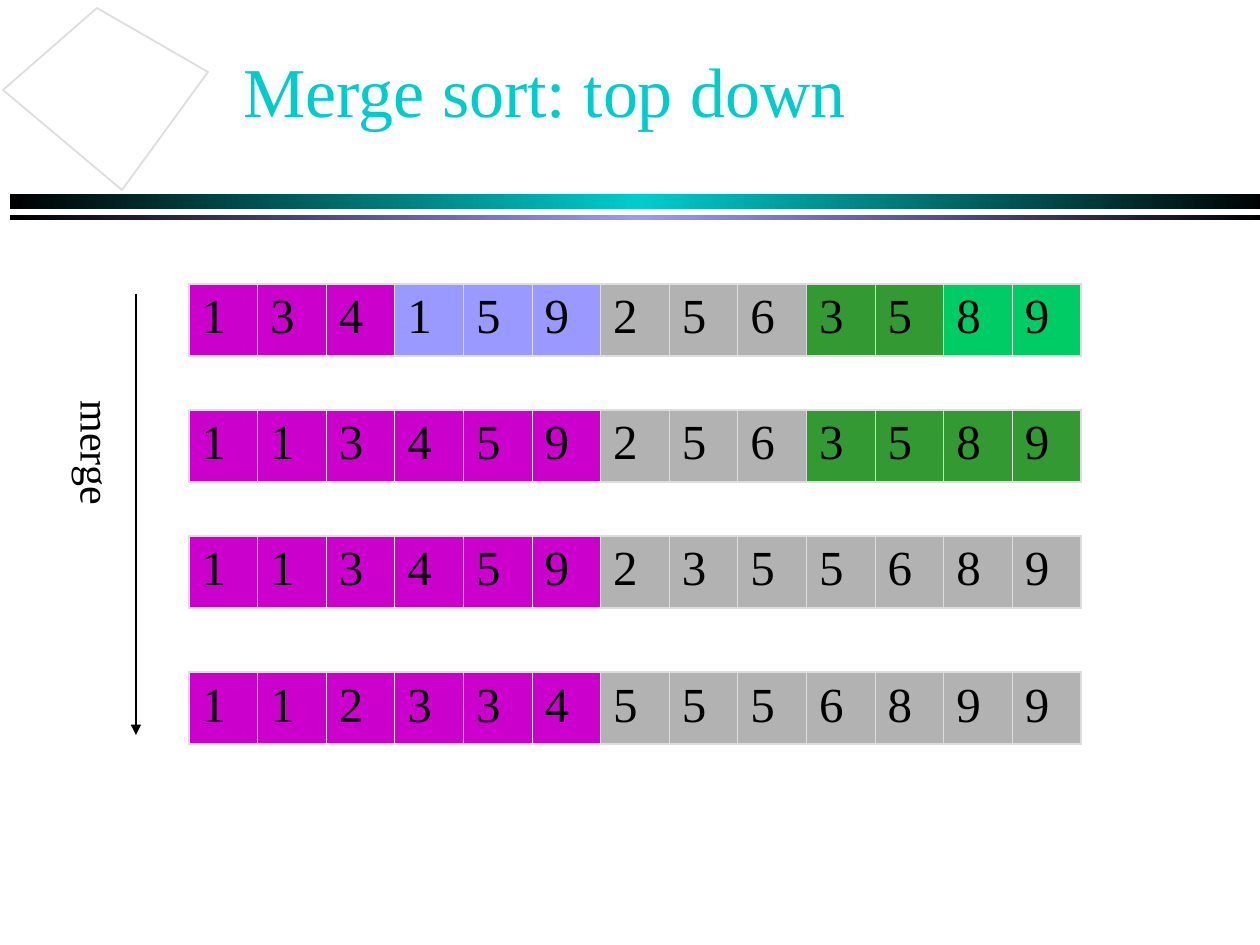
"""Build a slide showing the merge phase of a top-down merge sort."""
from lxml import etree
from pptx import Presentation
from pptx.dml.color import RGBColor
from pptx.enum.shapes import MSO_CONNECTOR, MSO_SHAPE
from pptx.enum.text import MSO_ANCHOR
from pptx.oxml import parse_xml
from pptx.oxml.ns import qn
from pptx.util import Pt

STRAIGHT = MSO_CONNECTOR.STRAIGHT
RECTANGLE = MSO_SHAPE.RECTANGLE
MIDDLE = MSO_ANCHOR.MIDDLE
SCALE = 914400 / 126
FONT = "Times New Roman"
DRAWING = 'xmlns:a="http://schemas.openxmlformats.org/drawingml/2006/main"'
COLORS = {
    "black": "000000", "white": "FFFFFF", "outline": "DDDDDD",
    "cyan": "00CCCC", "purple": "CC00CC", "blue": "9999FF",
    "gray": "B2B2B2", "green": "339933", "mint": "00CC66",
}


def px(length):
    return round(length * SCALE)


def add_text(frame, text, size, color):
    para = frame.paragraphs[0]
    span = para.add_run()
    span.text = text
    span.font.size = Pt(size)
    span.font.name = FONT
    span.font.color.rgb = RGBColor.from_string(COLORS[color])
    return para, span


deck = Presentation()
deck.slide_width, deck.slide_height = px(1260), px(945)
page = deck.slides.add_slide(deck.slide_layouts[6])

for top, height, color in ((194, 15, "cyan"), (215, 5, "blue")):
    bar = page.shapes.add_shape(RECTANGLE, px(10), px(top), px(1259), px(height))
    bar.shadow.inherit = False
    bar.line.fill.background()
    bar.fill.gradient()
    bar.fill.gradient_angle = 0
    stops = bar.fill.gradient_stops
    for stop in stops:
        stop.color.rgb = RGBColor.from_string(COLORS["black"])
    stops[0].position, stops[1].position = 0, 1
    stop_list = bar.element.spPr.find(".//" + qn("a:gsLst"))
    stop_list.insert(1, parse_xml(
        f'<a:gs {DRAWING} pos="50000"><a:srgbClr val="{COLORS[color]}"/></a:gs>'))

outline = page.shapes.build_freeform(122, 190, scale=SCALE)
outline.add_line_segments([(3, 90), (97, 8), (208, 72)], close=True)
kite = outline.convert_to_shape()
kite.shadow.inherit = False
kite.fill.solid()
kite.fill.fore_color.rgb = RGBColor.from_string(COLORS["white"])
kite.line.color.rgb = RGBColor.from_string(COLORS["outline"])
kite.line.width = Pt(1)

title = page.shapes.add_textbox(px(231), px(10), px(1071), px(158))
title.text_frame.word_wrap = True
title.text_frame.vertical_anchor = MIDDLE
para, span = add_text(title.text_frame, "Merge sort: top down", 40, "cyan")
span.font.fill._xPr.find(qn("a:solidFill")).addnext(parse_xml(
    f'<a:effectLst {DRAWING}><a:outerShdw dist="17961" dir="2700000">'
    f'<a:srgbClr val="{COLORS["black"]}"/></a:outerShdw></a:effectLst>'))

merge_steps = [
    (284, "1341592563589", [("purple", 3), ("blue", 3), ("gray", 3), ("green", 2), ("mint", 2)]),
    (410, "1134592563589", [("purple", 6), ("gray", 3), ("green", 4)]),
    (536, "1134592355689", [("purple", 6), ("gray", 7)]),
    (672, "1123345556899", [("purple", 6), ("gray", 7)]),
]
for top, digits, runs in merge_steps:
    fills = [color for color, count in runs for _ in range(count)]
    last = len(digits) - 1
    frame = page.shapes.add_table(1, len(digits), px(189), px(top), px(892), px(72))
    table = frame.table
    table.first_row = table.horz_banding = False
    for index, (digit, color) in enumerate(zip(digits, fills)):
        table.columns[index].width = px(892) // len(digits)
        cell = table.cell(0, index)
        para, span = add_text(cell.text_frame, digit, 28, "black")
        para.space_before = Pt(7)
        widths = {
            "L": 1.08 if index == 0 else 0.45,
            "R": 1.08 if index == last else 0.45,
            "T": 1.08,
            "B": 1.08,
        }
        properties = cell._tc.get_or_add_tcPr()
        for side, width in widths.items():
            properties.append(parse_xml(
                f'<a:ln{side} {DRAWING} w="{Pt(width)}"><a:solidFill>'
                f'<a:srgbClr val="{COLORS["outline"]}"/></a:solidFill></a:ln{side}>'))
        cell.fill.solid()
        cell.fill.fore_color.rgb = RGBColor.from_string(COLORS[color])

arrow = page.shapes.add_connector(STRAIGHT, px(136), px(294), px(136), px(735))
arrow.line.color.rgb = RGBColor.from_string(COLORS["black"])
arrow.line.width = Pt(0.75)
etree.SubElement(arrow.line._get_or_add_ln(), qn("a:tailEnd"), type="triangle")
etree.SubElement(arrow.element.spPr, qn("a:effectLst"))

label = page.shapes.add_textbox(px(53), px(388), px(76), px(118))
frame = label.text_frame
frame.word_wrap = False
frame.margin_left = frame.margin_right = Pt(3.6)
frame.margin_top = frame.margin_bottom = Pt(7.2)
frame._txBody.bodyPr.set("vert", "eaVert")
add_text(frame, "merge", 24, "black")

deck.save("out.pptx")
